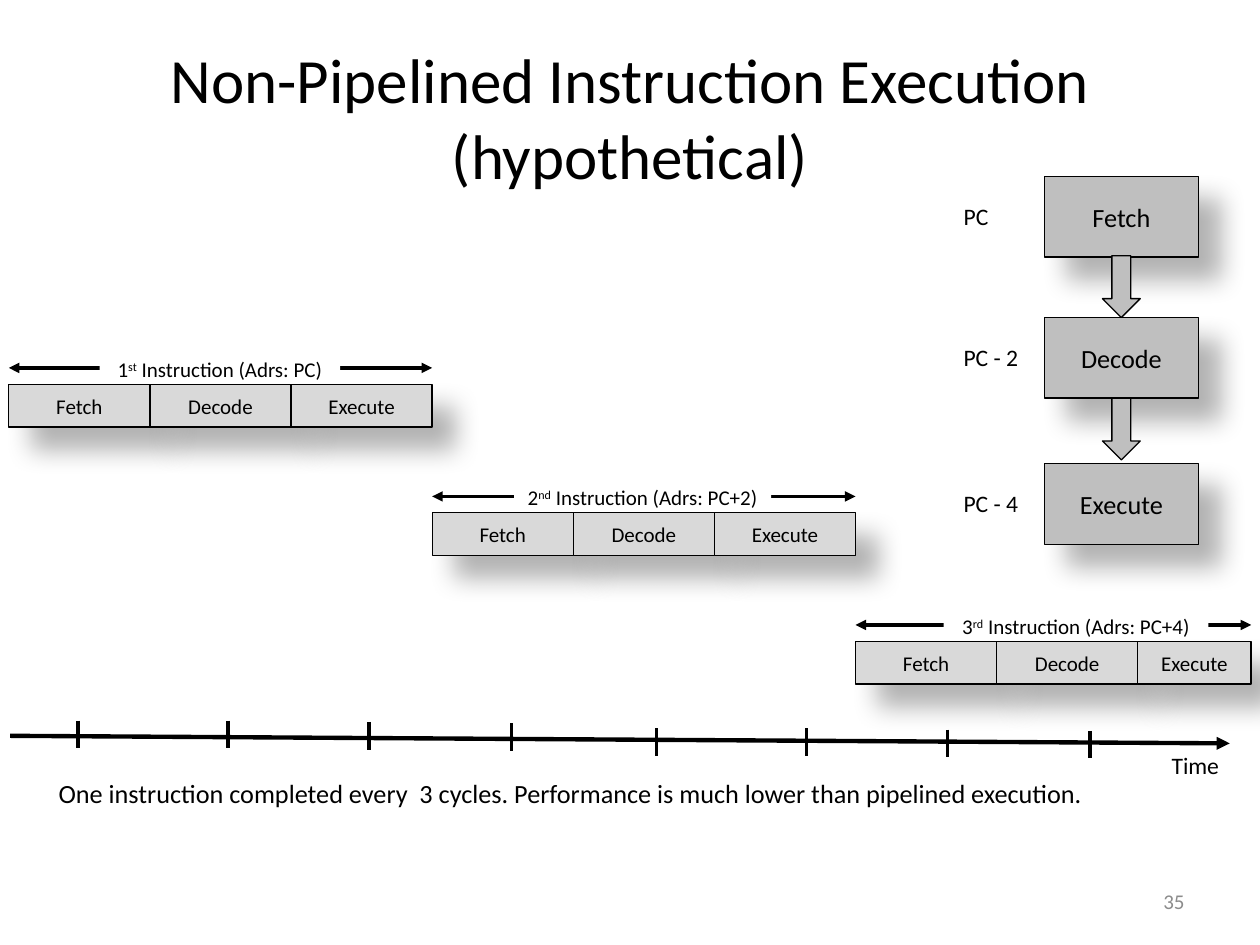
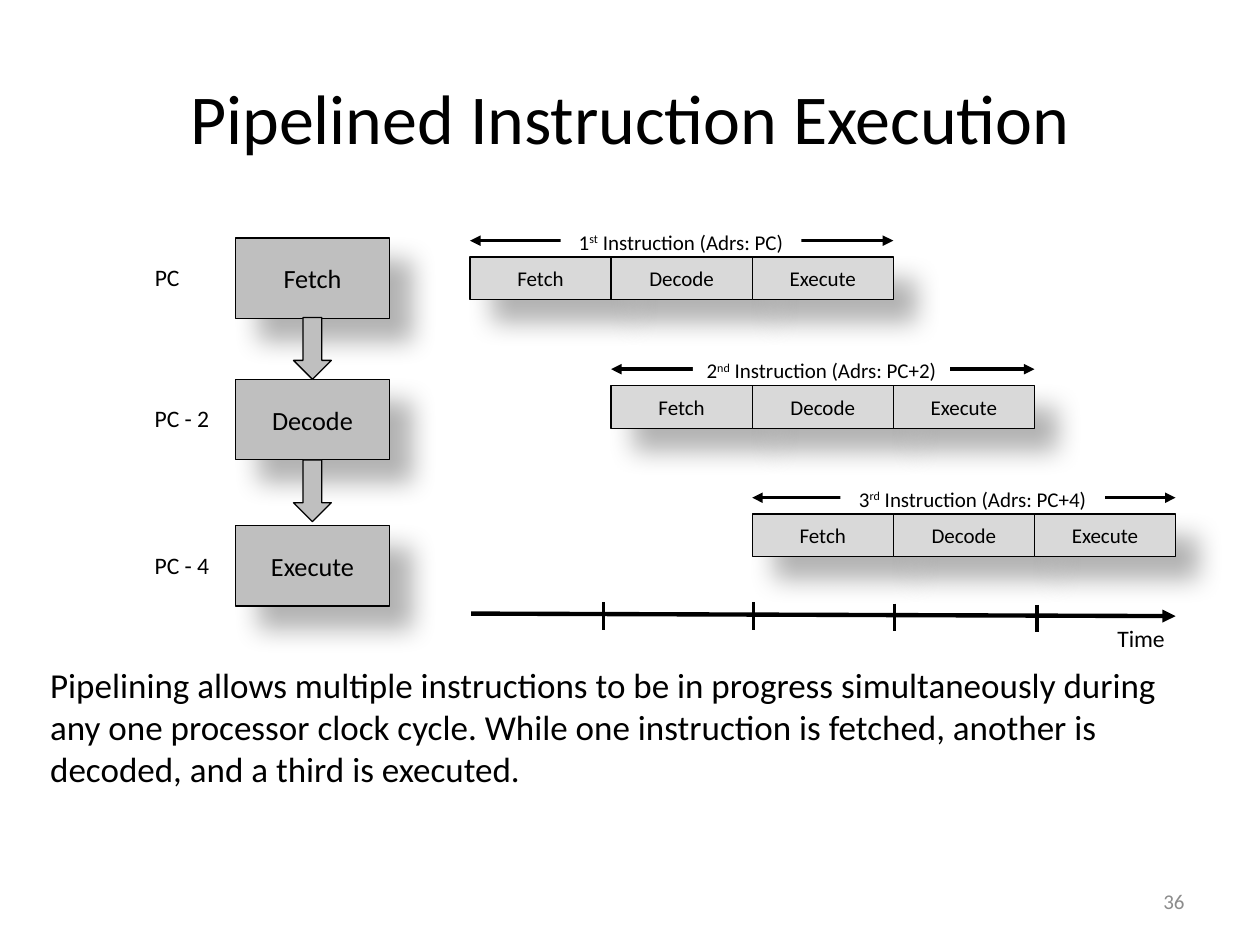
from lxml import etree
from pptx import Presentation
from pptx.dml.color import RGBColor
from pptx.enum.shapes import MSO_CONNECTOR, MSO_SHAPE
from pptx.enum.text import MSO_ANCHOR, PP_ALIGN
from pptx.oxml.ns import qn
from pptx.util import Inches, Pt

RECTANGLE = MSO_SHAPE.RECTANGLE
DOWN_ARROW = MSO_SHAPE.DOWN_ARROW
STRAIGHT = MSO_CONNECTOR.STRAIGHT
TOP, MIDDLE = MSO_ANCHOR.TOP, MSO_ANCHOR.MIDDLE
LEFT, CENTER, RIGHT = PP_ALIGN.LEFT, PP_ALIGN.CENTER, PP_ALIGN.RIGHT

FONT = "Calibri"
COLORS = {
    "ink": "000000",
    "paper": "FFFFFF",
    "unit": "BFBFBF",
    "stage": "D9D9D9",
    "number": "8C8C8C",
}

STAGES = ["Fetch", "Decode", "Execute"]
CYCLE = 1.12
ROW_PITCH = 1.02
INSTRUCTIONS = [
    (["1", "st", " Instruction (Adrs: PC)"], 0.72, 1.91, 0.3),
    (["2", "nd", " Instruction (Adrs: PC+2)"], 0.65, 2.04, 0.5),
    (["3", "rd", " Instruction (Adrs: PC+4)"], 0.7, 2.1, 0.3),
]
UNITS = [("PC", 0, 0.51), ("PC - 2", 1.12, 0.66), ("PC - 4", 2.28, 0.66)]
TICKS = [(0, 0), (1.19, 0), (2.31, 0.01), (3.44, 0.02)]


class Deck:
    def __init__(self):
        self.presentation = Presentation()
        self.presentation.slide_width = Inches(10)
        self.presentation.slide_height = Inches(7.5)
        self.slide = None

    def color(self, name):
        return RGBColor.from_string(COLORS[name])

    def new_slide(self, title, title_size, number):
        self.slide = self.presentation.slides.add_slide(self.presentation.slide_layouts[6])
        self.text(title, 0.5, 0.3, 9, 1.25, title_size, align=CENTER, anchor=MIDDLE)
        self.text(number, 7.17, 6.95, 2.33, 0.4, 12, "number", RIGHT, MIDDLE)

    def fill_frame(self, frame, pieces, size, color="ink", align=LEFT, anchor=TOP):
        frame.word_wrap = True
        frame.vertical_anchor = anchor
        paragraph = frame.paragraphs[0]
        paragraph.alignment = align
        for piece in pieces:
            run = paragraph.add_run()
            run.text = piece
            run.font.name = FONT
            run.font.size = Pt(size)
            run.font.color.rgb = self.color(color)

    def text(self, words, left, top, width, height, size, color="ink", align=LEFT, anchor=TOP):
        box = self.slide.shapes.add_textbox(
            Inches(left), Inches(top), Inches(width), Inches(height))
        self.fill_frame(box.text_frame, [words], size, color, align, anchor)

    def shape(self, kind, left, top, width, height, fill, outlined=True):
        shape = self.slide.shapes.add_shape(
            kind, Inches(left), Inches(top), Inches(width), Inches(height))
        shape.shadow.inherit = False
        shape.fill.solid()
        shape.fill.fore_color.rgb = self.color(fill)
        if outlined:
            shape.line.color.rgb = self.color("ink")
            shape.line.width = Pt(0.75)
        else:
            shape.line.fill.background()
        return shape

    def stage_box(self, name, left, top, width, height, fill, size):
        box = self.shape(RECTANGLE, left, top, width, height, fill)
        effects = box._element.spPr.find(qn("a:effectLst"))
        shadow = etree.SubElement(
            effects, qn("a:outerShdw"), blurRad=str(Pt(15)), dist=str(Pt(18)),
            dir="2700000", algn="tl", rotWithShape="0")
        tint = etree.SubElement(shadow, qn("a:srgbClr"), val=COLORS["ink"])
        etree.SubElement(tint, qn("a:alpha"), val="30000")
        frame = box.text_frame
        frame.margin_left = frame.margin_right = Inches(0.07)
        frame.margin_top = frame.margin_bottom = Inches(0.04)
        self.fill_frame(frame, [name], size, align=CENTER, anchor=MIDDLE)

    def ordinal_label(self, pieces, left, top, width, height):
        label = self.shape(RECTANGLE, left, top, width, height, "paper", outlined=False)
        self.fill_frame(label.text_frame, pieces, 12, align=CENTER)
        suffix = label.text_frame.paragraphs[0].runs[1]
        suffix.font._element.set("baseline", "30000")

    def line(self, x1, y1, x2, y2, weight=2, ends=()):
        line = self.slide.shapes.add_connector(
            STRAIGHT, Inches(x1), Inches(y1), Inches(x2), Inches(y2))
        line.line.color.rgb = self.color("ink")
        line.line.width = Pt(weight)
        outline = line._element.spPr.find(qn("a:ln"))
        for end in ends:
            etree.SubElement(outline, qn(f"a:{end}"), type="triangle")
        etree.SubElement(line._element.spPr, qn("a:effectLst"))

    def instructions(self, left, top, step, right_edge):
        for row, (pieces, indent, label_width, label_height) in enumerate(INSTRUCTIONS):
            start, y = left + row * step, top + row * ROW_PITCH
            finish = min(start + len(STAGES) * CYCLE, right_edge)
            self.line(start, y - 0.13, finish, y - 0.13, ends=("headEnd", "tailEnd"))
            self.ordinal_label(pieces, start + indent, y - 0.27, label_width, label_height)
            for column, stage in enumerate(STAGES):
                x = start + column * CYCLE
                self.stage_box(stage, x, y, min(CYCLE, finish - x), 0.34, "stage", 12)

    def processor(self, left, top):
        for stage, (address, drop, address_width) in zip(STAGES, UNITS):
            y = top + drop
            self.stage_box(stage, left, y, 1.22, 0.64, "unit", 15)
            self.text(address, left - 0.74, y + 0.15, address_width, 0.33, 13.5)
        for drop in (0.63, 1.76):
            self.shape(DOWN_ARROW, left + 0.46, top + drop, 0.3, 0.49, "unit")

    def time_axis(self, x1, y1, x2, y2, tick_starts, time_left):
        self.line(x1, y1, x2, y2, 2.5, ("tailEnd",))
        for x, y in tick_starts:
            for across, down in TICKS:
                self.line(x + across, y + down, x + across, y + down + 0.22)
        self.text("Time", time_left, y2 + 0.01, 0.73, 0.33, 13.5)


def main():
    deck = Deck()

    deck.new_slide("Non-Pipelined Instruction Execution (hypothetical)", 36, "35")
    deck.instructions(0.07, 3.05, len(STAGES) * CYCLE, 9.93)
    deck.time_axis(0.08, 5.84, 9.76, 5.9, [(0.62, 5.72), (5.21, 5.78)], 9.2)
    deck.text(
        " One instruction completed every  3 cycles. "
        "Performance is much lower than pipelined execution.",
        0.32, 6.12, 9.33, 1.28, 15)
    deck.processor(8.29, 1.4)

    deck.new_slide("Pipelined Instruction Execution", 40, "36")
    deck.processor(1.87, 1.89)
    deck.instructions(3.73, 2.04, CYCLE, 9.33)
    deck.time_axis(3.74, 4.87, 9.33, 4.89, [(4.79, 4.78)], 8.77)
    deck.text(
        "Pipelining allows multiple instructions to be in progress simultaneously "
        "during any one processor clock cycle. While one instruction is fetched, "
        "another is decoded, and a third is executed.",
        0.3, 5.22, 9.33, 1.28, 20)

    deck.presentation.save("out.pptx")


if __name__ == "__main__":
    main()
